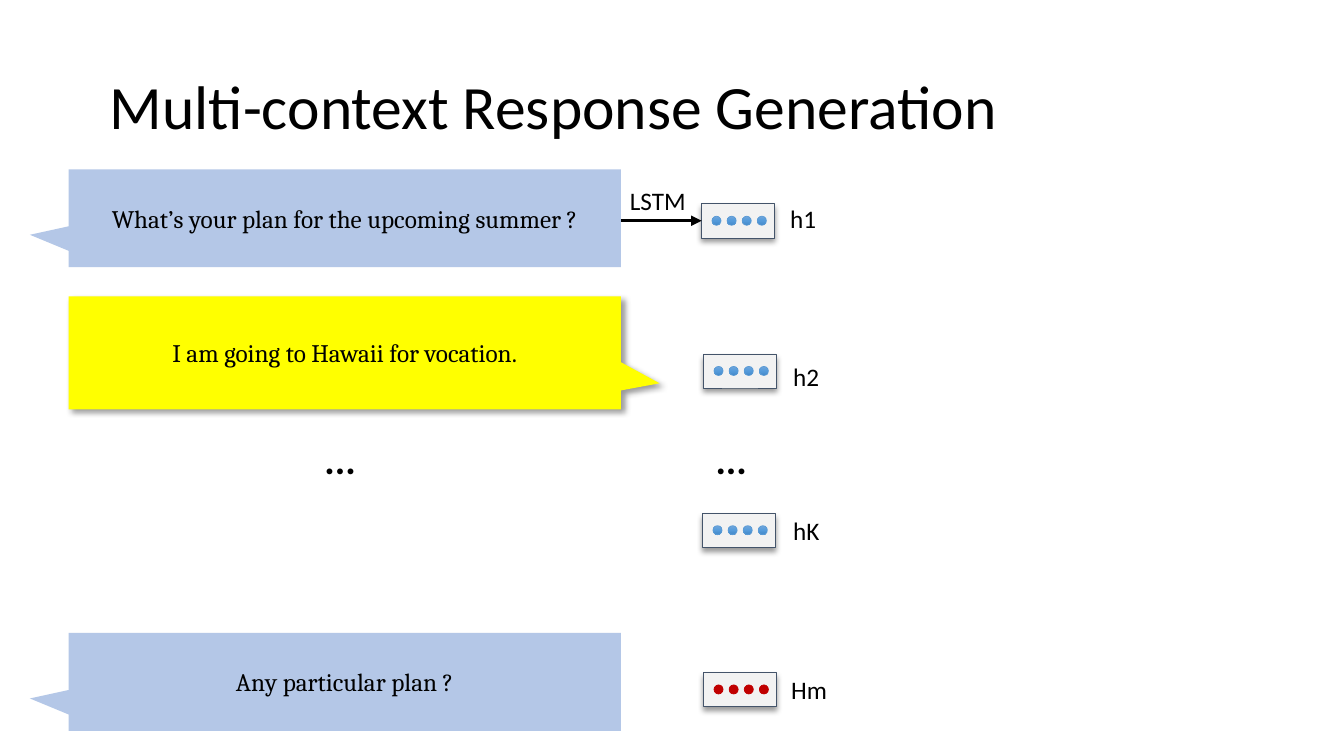
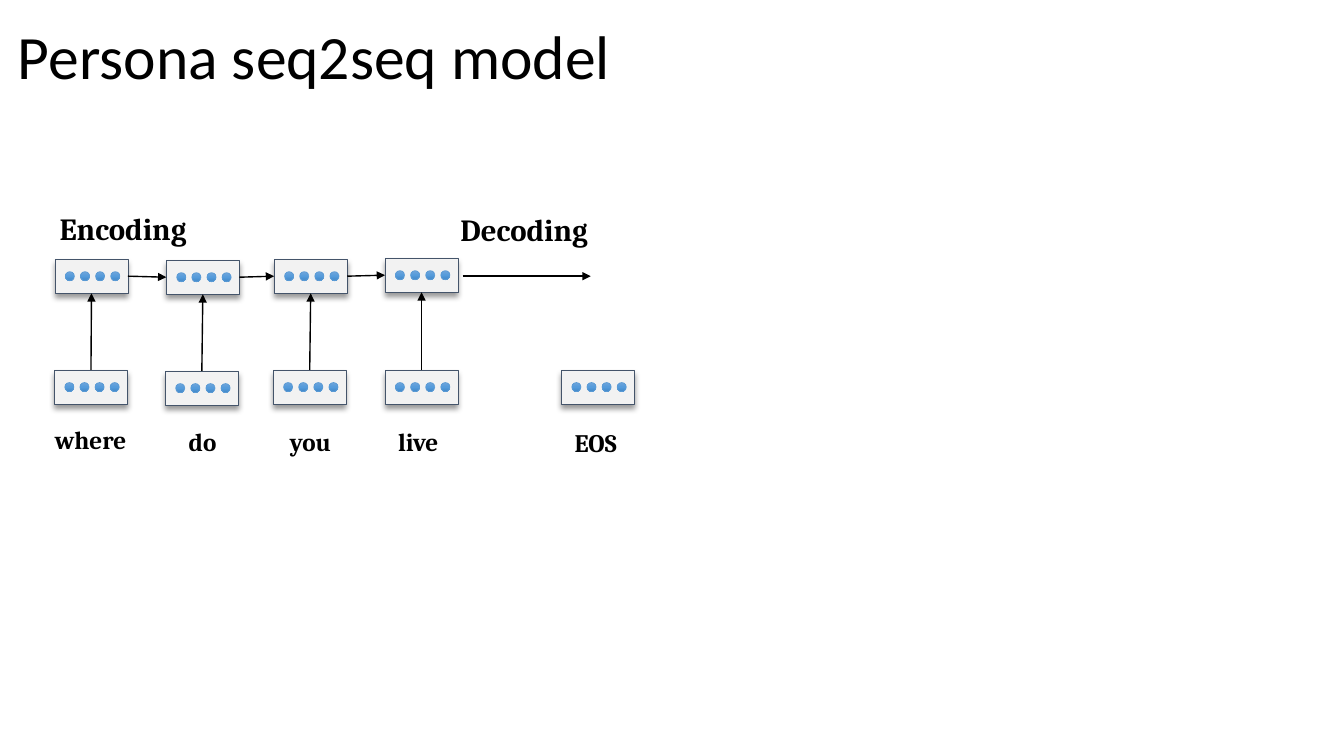
from copy import deepcopy

from pptx import Presentation
from pptx.dml.color import RGBColor
from pptx.enum.shapes import MSO_CONNECTOR, MSO_SHAPE
from pptx.enum.text import MSO_ANCHOR, PP_ALIGN
from pptx.oxml.ns import qn
from pptx.oxml.xmlchemy import OxmlElement
from pptx.util import Inches, Pt

HUES = {
    "ink": "000000", "blue": "B4C7E7", "gold": "FFFF00",
    "cell": "F2F2F2", "edge": "44546A", "dot": "5B9BD5", "red": "C00000",
    "high": "71A6DB", "mid": "559BDB", "low": "448ACA",
}
FONTS = {
    "title": {"name": "Calibri", "size": Pt(44), "bold": False},
    "plain": {"name": "Calibri", "size": Pt(18), "bold": False},
    "gap": {"name": "Calibri", "size": Pt(28), "bold": True},
    "talk": {"name": "Cambria", "size": Pt(18), "bold": False},
    "word": {"name": "Cambria", "size": Pt(18), "bold": True},
    "phase": {"name": "Cambria", "size": Pt(22), "bold": True},
}
UNIT = 0.1
COLS, ROWS = 133.33, 75
CELL_W, CELL_H = 7.25, 3.4
DOT, STEP = 0.9, 1.5
TOP, LEFT, FOOT, RIGHT = range(4)


def grid(*cells):
    return [Inches(cell * UNIT) for cell in cells]


def hue(name):
    return RGBColor.from_string(HUES[name])


def node(parent, tag, **attrs):
    child = OxmlElement(tag)
    for key, value in attrs.items():
        child.set(key, str(value))
    parent.append(child)
    return child


class Deck:
    def __init__(self):
        self.file = Presentation()
        self.file.slide_width, self.file.slide_height = grid(COLS, ROWS)
        self.slide = None

    def page(self, title, left, top, width):
        self.slide = self.file.slides.add_slide(self.file.slide_layouts[6])
        box = self.label(title, left, top, width, 9, "title")
        box.text_frame.vertical_anchor = MSO_ANCHOR.MIDDLE
        box.text_frame.paragraphs[0].line_spacing = 0.9

    def letter(self, frame, text, style, align):
        frame.word_wrap = True
        para = frame.paragraphs[0]
        para.alignment = align
        run = para.add_run()
        run.text = text
        for key, value in FONTS[style].items():
            setattr(run.font, key, value)
        run.font.color.rgb = hue("ink")

    def label(self, text, left, top, width, height, style, align=PP_ALIGN.LEFT):
        box = self.slide.shapes.add_textbox(*grid(left, top, width, height))
        self.letter(box.text_frame, text, style, align)
        return box

    def centre(self, text, mid, top, style, width=20):
        self.label(text, mid - width / 2, top, width, 4, style, PP_ALIGN.CENTER)

    def shape(self, home, kind, place, fill, edge=None, width=0.25):
        item = home.add_shape(kind, *grid(*place))
        item.shadow.inherit = False
        item.fill.solid()
        item.fill.fore_color.rgb = hue(fill)
        if edge:
            item.line.color.rgb = hue(edge)
            item.line.width = Pt(width)
        else:
            item.line.fill.background()
        return item

    def shade(self, item, angle):
        cast = node(item._element.spPr.find(qn("a:effectLst")), "a:outerShdw",
                    blurRad=Pt(4), dist=Pt(3), dir=angle * 60000,
                    algn="t", rotWithShape=0)
        node(node(cast, "a:srgbClr", val=HUES["ink"]), "a:alpha", val=40000)

    def blend(self, item):
        item.fill.gradient()
        item.fill.gradient_angle = 270
        first = next(item._element.spPr.iter(qn("a:gs")))
        half = deepcopy(first)
        half.set("pos", "50000")
        first.addnext(half)
        for stop, name in zip(item.fill.gradient_stops, ("high", "mid", "low")):
            stop.color.rgb = hue(name)

    def bubble(self, text, top, height, fill, tip):
        item = self.shape(self.slide.shapes, MSO_SHAPE.RECTANGULAR_CALLOUT,
                          (6.8, top, 54.8, height), fill)
        for spot, value in enumerate(tip):
            item.adjustments[spot] = value
        item.text_frame.vertical_anchor = MSO_ANCHOR.MIDDLE
        self.letter(item.text_frame, text, "talk", PP_ALIGN.CENTER)
        return item

    def state(self, left, top, red=False):
        box = self.shape(self.slide.shapes, MSO_SHAPE.RECTANGLE,
                         (left, top, CELL_W, CELL_H), "cell", "edge")
        self.shade(box, 90)
        group = self.slide.shapes.add_group_shape()
        fill = "red" if red else "dot"
        for spot in range(4):
            place = (left + 1.03 + spot * STEP, top + 1.25, DOT, DOT)
            dot = self.shape(group.shapes, MSO_SHAPE.OVAL, place, fill, fill, 0.5)
            if not red:
                self.blend(dot)
        return box

    def arrow(self, start=(0, 0), end=(0, 0), width=1):
        line = self.slide.shapes.add_connector(
            MSO_CONNECTOR.STRAIGHT, *grid(*start, *end))
        line.line.color.rgb = hue("ink")
        line.line.width = Pt(width)
        node(line._element.spPr.find(qn("a:ln")), "a:tailEnd", type="triangle")
        node(line._element.spPr, "a:effectLst")
        return line

    def link(self, start, out, end, into):
        line = self.arrow()
        line.begin_connect(start, out)
        line.end_connect(end, into)


def context(deck):
    deck.page("Multi-context Response Generation", 9.9, 6.4, 93.9)
    left_tip = (-0.57, 0.17)
    deck.bubble("What’s your plan for the upcoming summer ?", 16.8, 9.7, "blue", left_tip)
    reply = deck.bubble("I am going to Hawaii for vocation.", 29.4, 11.2, "gold", (0.57, 0.27))
    deck.shade(reply, 45)
    deck.bubble("Any particular plan ?", 62.8, 9.7, "blue", left_tip)
    for name, left, top, name_x, name_y in (
        ("h1", 69.6, 20.2, 77.4, 19.7),
        ("h2", 69.8, 35.1, 77.7, 35.4),
        ("hK", 69.7, 50.9, 77.7, 50.6),
        ("Hm", 69.8, 66.7, 77.5, 66.4),
    ):
        deck.state(left, top, name == "Hm")
        deck.label(name, name_x, name_y, 9.4, 4, "plain")
    for left in (31.2, 70):
        deck.label("...", left, 42.7, 13.8, 5.7, "gap")
    deck.arrow((61.6, 21.9), (69.6, 21.9), 2.5)
    deck.label("LSTM", 61.5, 17.9, 9, 4, "plain")


def persona(deck):
    deck.page("Persona seq2seq model", 0.8, 1.4, 95.5)
    last = None
    for word, mid, word_y, low, high in (
        ("where", 9, 41.6, (5.4, 36.7), (5.45, 25.7)),
        ("do", 20.1, 41.8, (16.4, 36.8), (16.5, 25.8)),
        ("you", 30.8, 41.8, (27.1, 36.7), (27.2, 25.7)),
        ("live", 41.5, 41.8, (38.2, 36.7), (38.2, 25.6)),
    ):
        source, target = deck.state(*low), deck.state(*high)
        deck.link(source, TOP, target, FOOT)
        if last:
            deck.link(last, RIGHT, target, LEFT)
        last = target
        deck.centre(word, mid, word_y, "word")
    deck.state(55.7, 36.7)
    deck.centre("EOS", 59.1, 41.9, "word")
    deck.centre("Encoding", 12.2, 20.3, "phase")
    deck.centre("Decoding", 52, 20.4, "phase")
    deck.arrow((45.9, 27.4), (58.6, 27.4))


def main():
    deck = Deck()
    context(deck)
    persona(deck)
    deck.file.save("out.pptx")


if __name__ == "__main__":
    main()
